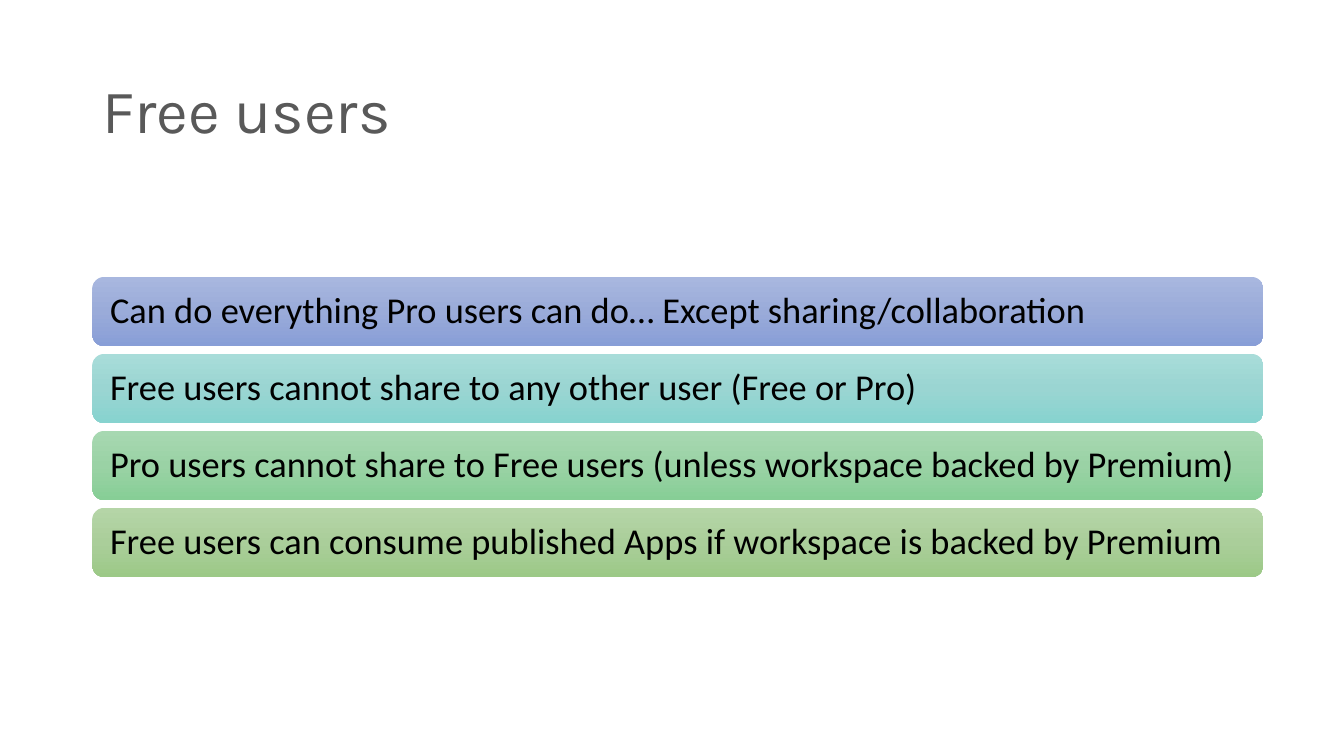
"""Build the slide that lists what free users can and cannot do."""
from copy import deepcopy
from dataclasses import dataclass

from pptx import Presentation
from pptx.dml.color import RGBColor
from pptx.enum.shapes import MSO_SHAPE
from pptx.enum.text import MSO_ANCHOR, PP_ALIGN
from pptx.oxml.ns import qn
from pptx.slide import Slide
from pptx.text.text import TextFrame
from pptx.util import Cm, Pt

ROUNDED = MSO_SHAPE.ROUNDED_RECTANGLE
MIDDLE = MSO_ANCHOR.MIDDLE
LEFT = PP_ALIGN.LEFT

COLORS = {
    "title": "595959",
    "text": "000000",
    "blue_top": "A8B7DF", "blue_mid": "9AABD9", "blue_end": "889ED7",
    "teal_top": "A8DCD9", "teal_mid": "9AD5D2", "teal_end": "87D3CF",
    "green_top": "A7D8B1", "green_mid": "9AD2A5", "green_end": "87CE96",
    "olive_top": "B5D5A7", "olive_mid": "AACE9A", "olive_end": "9CC987",
}
MARGIN_LEFT = 2.33
BAR_TOP, BAR_PITCH = 6.98, 1.94
BAR_WIDTH, BAR_HEIGHT = 29.51, 1.74
BAR_INSET = 0.36


@dataclass(frozen=True)
class Bar:
    text: str
    hue: str


BARS = [
    Bar("Can do everything Pro users can do… Except sharing/collaboration", "blue"),
    Bar("Free users cannot share to any other user (Free or Pro)", "teal"),
    Bar("Pro users cannot share to Free users (unless workspace backed by Premium)", "green"),
    Bar("Free users can consume published Apps if workspace is backed by Premium", "olive"),
]


def color(name: str) -> RGBColor:
    return RGBColor.from_string(COLORS[name])


def write(tf: TextFrame, text: str, font: str, size: int, color_name: str) -> None:
    tf.word_wrap = True
    tf.vertical_anchor = MIDDLE
    p = tf.paragraphs[0]
    p.alignment = LEFT
    p.line_spacing = 0.9
    r = p.add_run()
    r.text = text
    r.font.name = font
    r.font.size = Pt(size)
    r.font.color.rgb = color(color_name)


def add_title(s: Slide, text: str) -> None:
    box = s.shapes.add_textbox(Cm(MARGIN_LEFT), Cm(1.01), Cm(29.21), Cm(3.68))
    write(box.text_frame, text, "Karla", 44, "title")


def add_bar(s: Slide, bar: Bar, top: float) -> None:
    sp = s.shapes.add_shape(ROUNDED, Cm(MARGIN_LEFT), Cm(top), Cm(BAR_WIDTH), Cm(BAR_HEIGHT))
    sp.shadow.inherit = False
    sp.line.fill.background()
    sp.fill.gradient()
    sp.fill.gradient_angle = 270
    stop_list = sp._element.spPr.find(".//" + qn("a:gsLst"))
    stop_list.insert(1, deepcopy(stop_list[0]))
    for stop, part, position in zip(sp.fill.gradient_stops, ("top", "mid", "end"), (0, 0.5, 1)):
        stop.color.rgb = color(f"{bar.hue}_{part}")
        stop.position = position
    tf = sp.text_frame
    tf.margin_left = tf.margin_right = Cm(BAR_INSET)
    write(tf, bar.text, "Calibri", 26, "text")


def main() -> None:
    prs = Presentation()
    prs.slide_width, prs.slide_height = Cm(33.87), Cm(19.05)
    s = prs.slides.add_slide(prs.slide_layouts[6])
    add_title(s, "Free users")
    for i, bar in enumerate(BARS):
        add_bar(s, bar, BAR_TOP + i * BAR_PITCH)
    prs.save("out.pptx")


if __name__ == "__main__":
    main()
